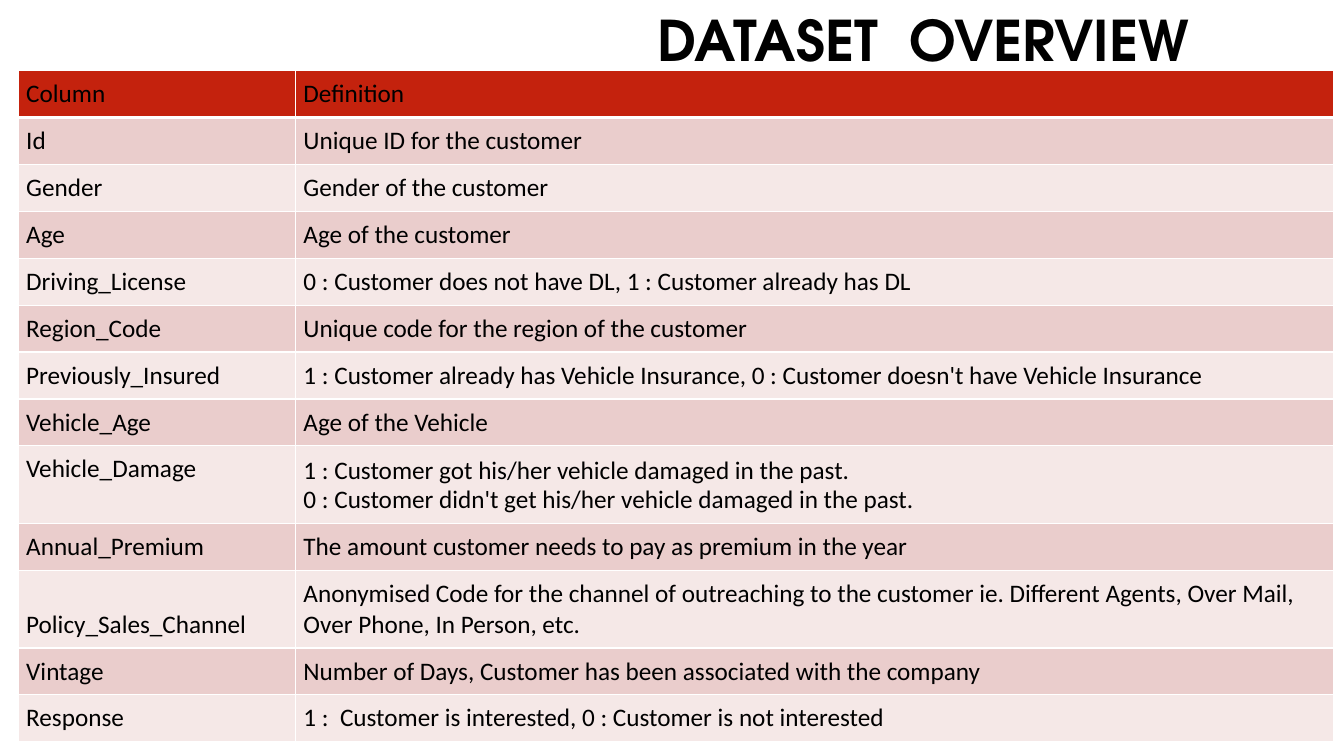
from lxml.etree import SubElement
from pptx import Presentation
from pptx.dml.color import RGBColor
from pptx.enum.text import MSO_ANCHOR as Anchor, PP_ALIGN as Align
from pptx.oxml.ns import qn
from pptx.util import Inches, Pt

BLACK = RGBColor(0x00, 0x00, 0x00)
WHITE = RGBColor(0xFF, 0xFF, 0xFF)
RED = RGBColor(0xC4, 0x22, 0x0D)
ROSE = RGBColor(0xEA, 0xCD, 0xCC)
PALE = RGBColor(0xF5, 0xE8, 0xE7)

ROWS = [
    ("Column", "Definition"),
    ("Id", "Unique ID for the customer"),
    ("Gender", "Gender of the customer"),
    ("Age", "Age of the customer"),
    ("Driving_License", "0 : Customer does not have DL, 1 : Customer already has DL"),
    ("Region_Code", "Unique code for the region of the customer"),
    ("Previously_Insured",
     "1 : Customer already has Vehicle Insurance, 0 : Customer doesn't have Vehicle Insurance"),
    ("Vehicle_Age", "Age of the Vehicle"),
    ("Vehicle_Damage",
     "1 : Customer got his/her vehicle damaged in the past.\v"
     "0 : Customer didn't get his/her vehicle damaged in the past."),
    ("Annual_Premium", "The amount customer needs to pay as premium in the year"),
    ("Policy_Sales_Channel",
     "Anonymised Code for the channel of outreaching to the customer ie. "
     "Different Agents, Over Mail, Over Phone, In Person, etc."),
    ("Vintage", "Number of Days, Customer has been associated with the company"),
    ("Response", "1 :  Customer is interested, 0 : Customer is not interested"),
]
DAMAGE, CHANNEL = 8, 10


class Deck:
    head = "TeX Gyre Adventor"
    body = "Calibri"

    def __init__(self):
        self.prs = Presentation()
        self.prs.slide_width = Inches(13.33)
        self.prs.slide_height = Inches(7.5)
        self.slide = self.prs.slides.add_slide(self.prs.slide_layouts[5])

    def font(self, para, name, size, bold=False):
        font = para.font
        font.name, font.size, font.bold = name, Pt(size), bold
        font.color.rgb = BLACK

    def title(self, text, left, top, width, height):
        shape = self.slide.shapes.title
        shape.left, shape.top = Inches(left), Inches(top)
        shape.width, shape.height = Inches(width), Inches(height)
        frame = shape.text_frame
        frame.text = text
        frame.vertical_anchor = Anchor.MIDDLE
        para = frame.paragraphs[0]
        para.alignment = Align.RIGHT
        para.line_spacing = 0.9
        self.font(para, self.head, 40, True)

    def border(self, cell, side, width):
        line = SubElement(cell._tc.get_or_add_tcPr(), qn(f"a:ln{side}"), w=str(Pt(width)))
        fill = SubElement(line, qn("a:solidFill"))
        SubElement(fill, qn("a:srgbClr"), val=str(WHITE))

    def cell(self, cell, text, fill, base):
        cell.text = text
        cell.vertical_anchor = Anchor.BOTTOM
        cell.margin_left = cell.margin_right = Inches(0.08)
        cell.margin_top = cell.margin_bottom = Inches(0.08)
        for side in "LRT":
            self.border(cell, side, 1)
        self.border(cell, "B", base)
        cell.fill.solid()
        cell.fill.fore_color.rgb = fill
        self.font(cell.text_frame.paragraphs[0], self.body, 18)

    def table(self, rows, left, top, widths, heights):
        frame = self.slide.shapes.add_table(
            len(rows), len(widths), Inches(left), Inches(top),
            Inches(sum(widths)), Inches(sum(heights)))
        table = frame.table
        for col, width in zip(table.columns, widths):
            col.width = Inches(width)
        for r, texts in enumerate(rows):
            table.rows[r].height = Inches(heights[r])
            fill = (ROSE if r % 2 else PALE) if r else RED
            for c, text in enumerate(texts):
                self.cell(table.cell(r, c), text, fill, 1 if r else 3)
        return table


def main():
    deck = Deck()
    deck.title("DATASET  OVERVIEW", 2.47, 0.01, 9.42, 0.85)
    tall = (DAMAGE, CHANNEL)
    heights = [0.77 if r in tall else 0.46 for r in range(len(ROWS))]
    table = deck.table(ROWS, 0.18, 0.7, (2.75, 10.3), heights)
    table.cell(DAMAGE, 0).vertical_anchor = Anchor.TOP
    table.cell(DAMAGE, 1).text_frame.paragraphs[0].line_spacing = Pt(21)
    deck.prs.save("out.pptx")


if __name__ == "__main__":
    main()
